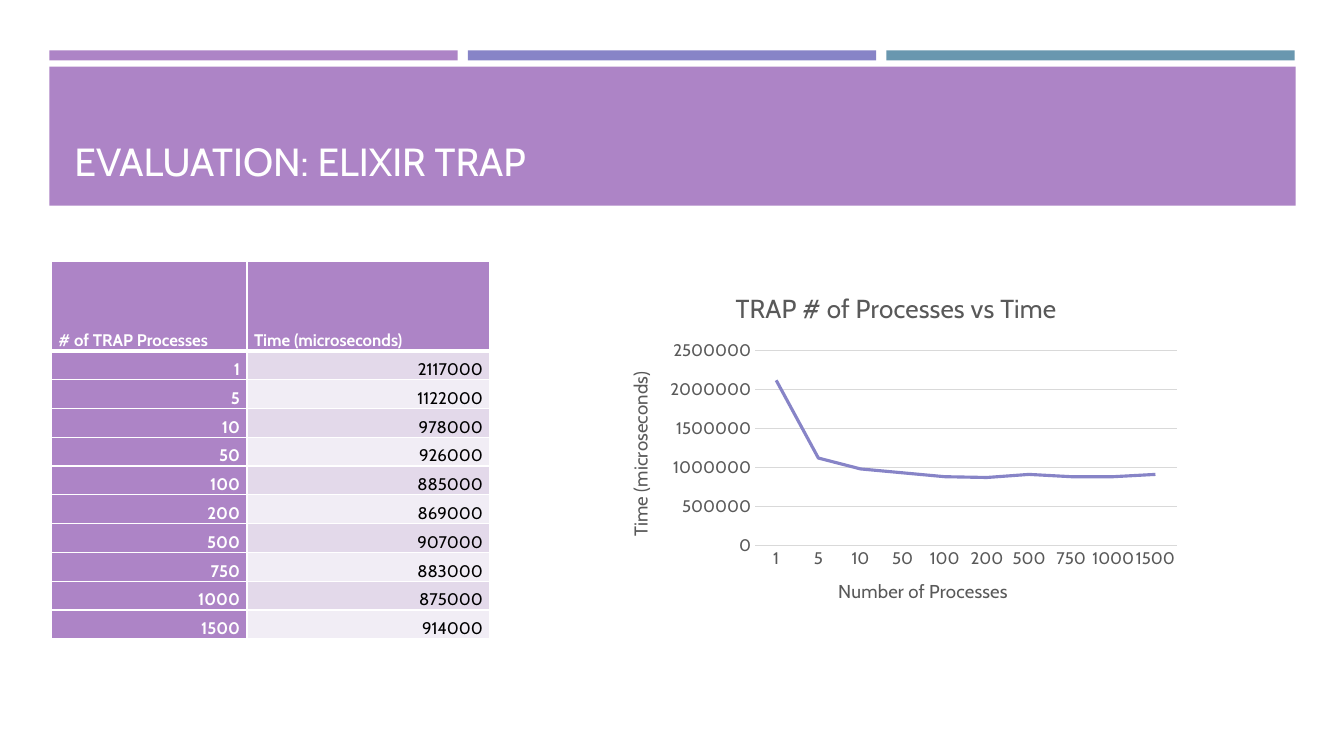
import lxml.etree
import pptx
import pptx.chart.data
import pptx.dml.color
import pptx.enum.chart
import pptx.enum.shapes
import pptx.enum.text
import pptx.oxml.ns
import pptx.util

Inches = pptx.util.Inches
Pt = pptx.util.Pt
RGBColor = pptx.dml.color.RGBColor
ALIGN = pptx.enum.text.PP_ALIGN
BOTTOM = pptx.enum.text.MSO_ANCHOR.BOTTOM
qn = pptx.oxml.ns.qn

PURPLE = RGBColor(0xAD, 0x84, 0xC6)
VIOLET = RGBColor(0x87, 0x84, 0xC7)
TEAL = RGBColor(0x69, 0x97, 0xAF)
BAND_DARK = RGBColor(0xE3, 0xD9, 0xEA)
BAND_LIGHT = RGBColor(0xF1, 0xED, 0xF5)
WHITE = RGBColor(0xFF, 0xFF, 0xFF)
BLACK = RGBColor(0x00, 0x00, 0x00)
GRAY = RGBColor(0x59, 0x59, 0x59)
GRID = RGBColor(0xD9, 0xD9, 0xD9)

HEADINGS = ("# of TRAP Processes", "Time (microseconds)")
TIMES = {1: 2117000, 5: 1122000, 10: 978000, 50: 926000, 100: 885000,
         200: 869000, 500: 907000, 750: 883000, 1000: 875000, 1500: 914000}
CHART_WIDTH, CHART_HEIGHT = 5.78, 3.5


class SlideBuilder:
    font_name = "Cabin"

    def __init__(self, page):
        self.page = page

    def style(self, font, size, color, bold=False):
        font.name, font.size, font.bold = self.font_name, Pt(size), bold
        font.color.rgb = color

    def bar(self, left, top, width, height, color):
        shape = self.page.shapes.add_shape(
            pptx.enum.shapes.MSO_SHAPE.RECTANGLE,
            Inches(left), Inches(top), Inches(width), Inches(height))
        shape.shadow.inherit = False
        shape.fill.solid()
        shape.fill.fore_color.rgb = color
        shape.line.fill.background()

    def heading(self, text, left, top, width, height):
        box = self.page.shapes.add_textbox(
            Inches(left), Inches(top), Inches(width), Inches(height))
        frame = box.text_frame
        frame.word_wrap = True
        frame.vertical_anchor = BOTTOM
        frame.text = text
        self.style(frame.paragraphs[0].runs[0].font, 28, WHITE)

    def borders(self, cell, bottom):
        properties = cell._tc.get_or_add_tcPr()
        for side, width in (("L", 1), ("R", 1), ("T", 1), ("B", bottom)):
            line = lxml.etree.SubElement(properties, qn("a:ln" + side), w=str(Pt(width)))
            fill = lxml.etree.SubElement(line, qn("a:solidFill"))
            lxml.etree.SubElement(fill, qn("a:srgbClr"), val=str(WHITE))

    def cell(self, cell, text, fill, color, bold, align, bottom):
        self.borders(cell, bottom)
        cell.fill.solid()
        cell.fill.fore_color.rgb = fill
        cell.vertical_anchor = BOTTOM
        cell.margin_left = cell.margin_right = Inches(0.07)
        cell.margin_top = cell.margin_bottom = 0
        cell.text = text
        para = cell.text_frame.paragraphs[0]
        para.alignment = align
        para.line_spacing = 1.07
        self.style(para.runs[0].font, 12, color, bold)

    def table(self, left, top, widths, header_height, height):
        table = self.page.shapes.add_table(
            len(TIMES) + 1, 2, Inches(left), Inches(top),
            Inches(sum(widths)), Inches(height)).table
        for column, width in zip(table.columns, widths):
            column.width = Inches(width)
        for row in table.rows:
            row.height = Inches((height - header_height) / len(TIMES))
        table.rows[0].height = Inches(header_height)
        for column, text in enumerate(HEADINGS):
            self.cell(table.cell(0, column), text, PURPLE, WHITE, True, ALIGN.LEFT, 3)
        for row, (count, time) in enumerate(TIMES.items(), start=1):
            band = BAND_DARK if row % 2 else BAND_LIGHT
            self.cell(table.cell(row, 0), str(count), PURPLE, WHITE, True, ALIGN.RIGHT, 1)
            self.cell(table.cell(row, 1), str(time), band, BLACK, False, ALIGN.RIGHT, 1)

    def layout(self, element, index, **inches):
        """Fix the place of a chart part, in inches from the chart's corner."""
        for old in element.findall(qn("c:layout")):
            element.remove(old)
        layout = lxml.etree.Element(qn("c:layout"))
        manual = lxml.etree.SubElement(layout, qn("c:manualLayout"))
        if "w" in inches:
            lxml.etree.SubElement(manual, qn("c:layoutTarget"), val="inner")
        for mode in ("xMode", "yMode"):
            lxml.etree.SubElement(manual, qn("c:" + mode), val="edge")
        for name, value in inches.items():
            whole = CHART_WIDTH if name in "xw" else CHART_HEIGHT
            lxml.etree.SubElement(manual, qn("c:" + name), val=str(value / whole))
        element.insert(index, layout)

    def chart_title(self, title, text, size, x, y, rotation=0):
        title.text_frame.text = text
        self.style(title.text_frame.paragraphs[0].runs[0].font, size, GRAY)
        body = title._element.find(".//" + qn("a:bodyPr"))
        body.set("rot", str(rotation * 60000))
        body.set("vert", "horz")
        self.layout(title._element, 1, x=x, y=y)

    def line_chart(self, left, top):
        data = pptx.chart.data.CategoryChartData()
        data.categories = [str(count) for count in TIMES]
        data.add_series("Series 1", [round(time, -4) for time in TIMES.values()])
        chart = self.page.shapes.add_chart(
            pptx.enum.chart.XL_CHART_TYPE.LINE, Inches(left), Inches(top),
            Inches(CHART_WIDTH), Inches(CHART_HEIGHT), data).chart
        chart.has_legend = False
        self.style(chart.font, 10, BLACK)
        chart.plots[0].vary_by_categories = False

        series = chart.plots[0].series[0]
        series.smooth = False
        series.marker.style = pptx.enum.chart.XL_MARKER_STYLE.NONE
        series.format.line.color.rgb = VIOLET
        series.format.line.width = Pt(2.25)

        # Axes and gridlines
        across, upward = chart.category_axis, chart.value_axis
        for axis in (across, upward):
            axis.major_tick_mark = pptx.enum.chart.XL_TICK_MARK.NONE
            axis.minor_tick_mark = pptx.enum.chart.XL_TICK_MARK.NONE
            self.style(axis.tick_labels.font, 12, GRAY)
        upward.minimum_scale, upward.maximum_scale = 0, 2500000
        upward.major_unit = 500000
        upward.format.line.fill.background()
        upward.has_major_gridlines = True
        for line in (across.format.line, upward.major_gridlines.format.line):
            line.color.rgb = GRID
            line.width = Pt(0.75)

        # Titles and plot area
        self.chart_title(chart.chart_title, "TRAP # of Processes vs Time", 18.6, 1.24, 0.12)
        self.chart_title(across.axis_title, "Number of Processes", 13.3, 2.27, 3)
        self.chart_title(upward.axis_title, HEADINGS[1], 13.3, 0.18, 0.94, rotation=-90)
        plot_area = chart._chartSpace.find(".//" + qn("c:plotArea"))
        self.layout(plot_area, 0, x=1.48, y=0.77, w=4.18, h=1.93)


def main():
    deck = pptx.Presentation()
    deck.slide_width, deck.slide_height = Inches(13.33), Inches(7.5)
    builder = SlideBuilder(deck.slides.add_slide(deck.slide_layouts[6]))

    # Top stripes and title band
    for index, color in enumerate((PURPLE, VIOLET, TEAL)):
        builder.bar(0.49 + 4.15 * index, 0.5, 4.05, 0.1, color)
    builder.bar(0.49, 0.66, 12.36, 1.38, PURPLE)
    builder.heading("EVALUATION: ELIXIR TRAP", 0.64, 0.8, 12.06, 1.08)

    # Measurements
    builder.table(0.51, 2.59, (1.94, 2.41), header_height=0.89, height=3.75)
    builder.line_chart(6.01, 2.71)
    deck.save("out.pptx")


if __name__ == "__main__":
    main()
